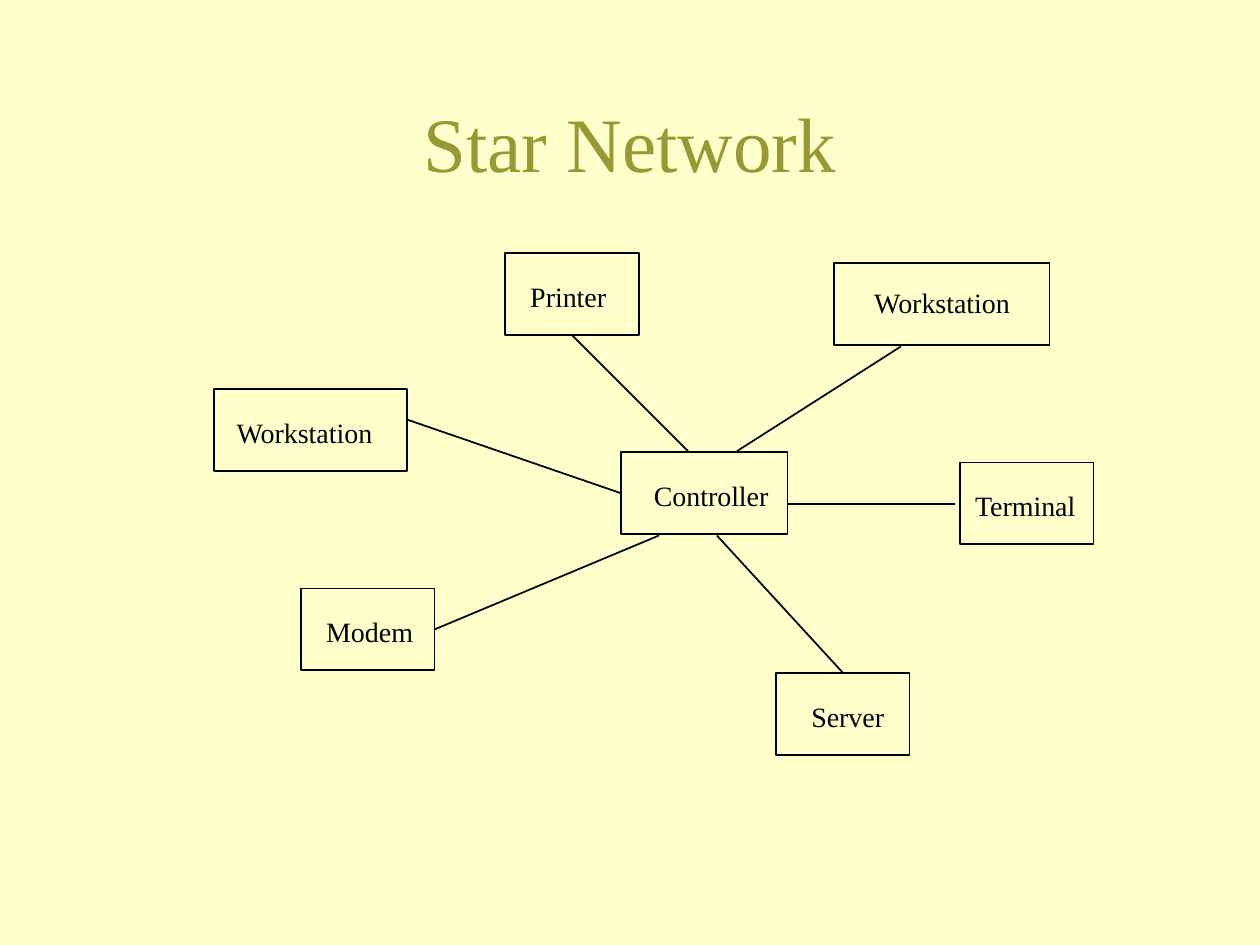
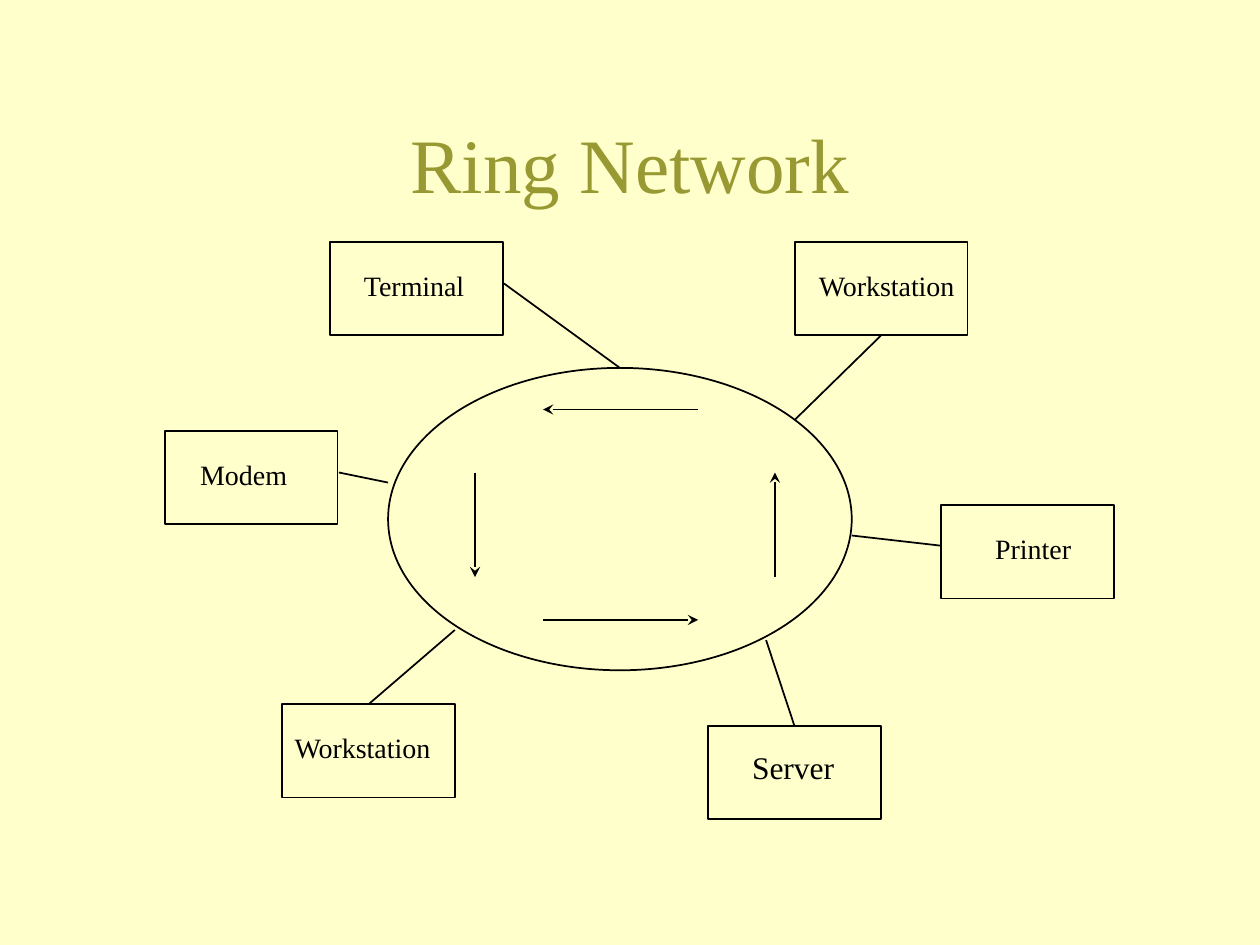
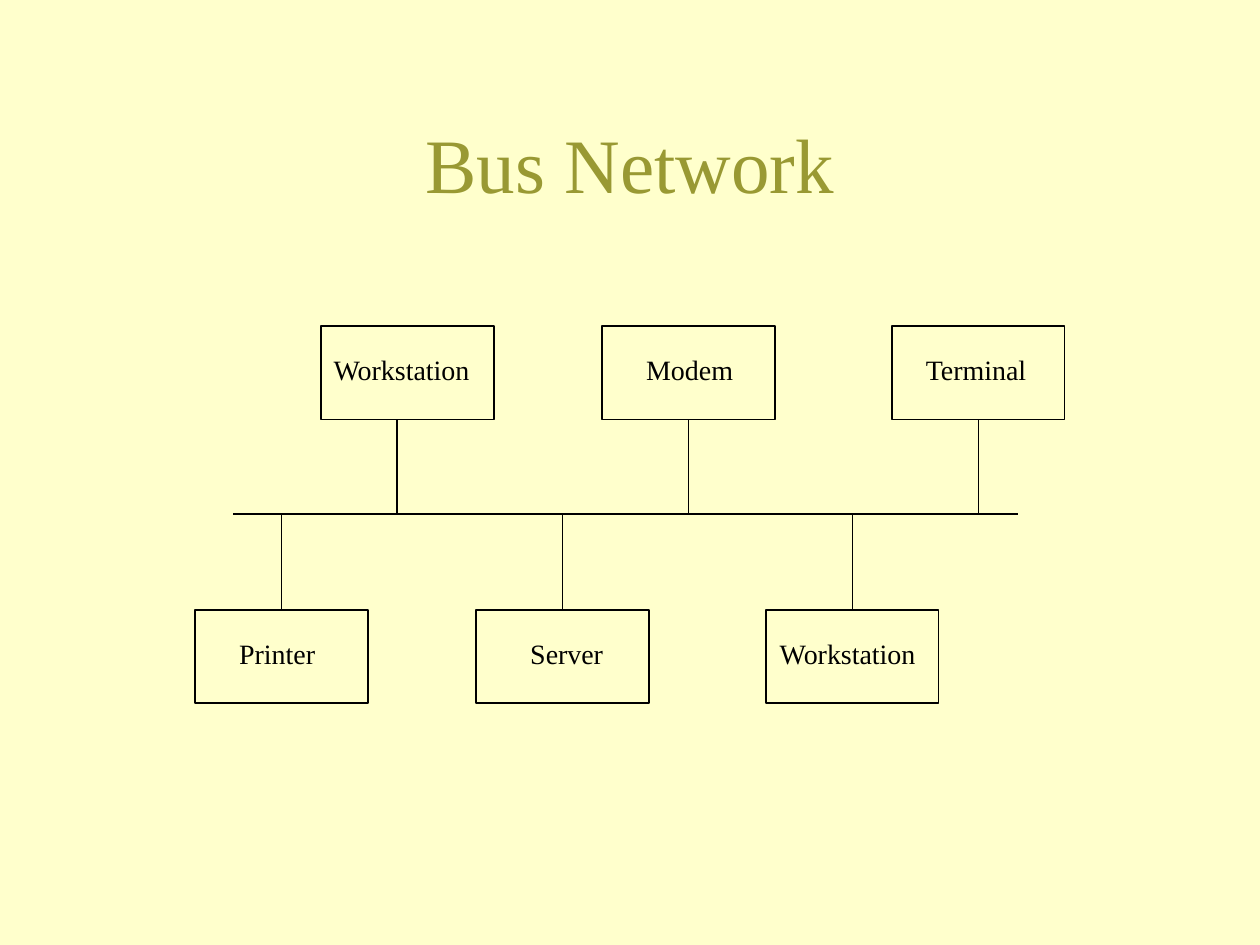
from dataclasses import dataclass
from typing import NamedTuple

from lxml import etree
from pptx import Presentation
from pptx.dml.color import RGBColor
from pptx.enum.shapes import MSO_CONNECTOR, MSO_SHAPE
from pptx.enum.text import MSO_ANCHOR, MSO_AUTO_SIZE, PP_ALIGN
from pptx.oxml.ns import qn
from pptx.util import Inches, Pt

# Shared style
CREAM = RGBColor(0xFF, 0xFF, 0xCC)
OLIVE = RGBColor(0x99, 0x99, 0x33)
BLACK = RGBColor(0x00, 0x00, 0x00)
FONT = "Times New Roman"
TITLE_SIZE, LABEL_SIZE, LINE_WIDTH = Pt(44), 16, Pt(1)

RECT, OVAL = MSO_SHAPE.RECTANGLE, MSO_SHAPE.OVAL
STRAIGHT = MSO_CONNECTOR.STRAIGHT
CENTER, MIDDLE = PP_ALIGN.CENTER, MSO_ANCHOR.MIDDLE
NO_FIT, GROW = MSO_AUTO_SIZE.NONE, MSO_AUTO_SIZE.SHAPE_TO_FIT_TEXT
TOP, LEFT, BOTTOM, RIGHT = range(4)

# Square grid: 100 columns by 75 rows
SLIDE_W, SLIDE_H = Inches(10), Inches(7.5)
COLS, ROWS = 100, 75
TITLE_LEFT, TITLE_W, TITLE_H = 7.5, 85, 12.5
LABEL_H = 3.7
LABEL_W = {"Workstation": 13, "Printer": 8.1, "Terminal": 10.1,
           "Modem": 8.9, "Server": 7.8, "Controller": 11.1}
BOX_W, BOX_H = 13.7, 7.4        # devices on the ring and the bus
STAR_W, STAR_H = 10.6, 6.5      # devices on the star


class Spot(NamedTuple):
    col: float
    row: float


@dataclass(frozen=True)
class Device:
    label: str
    left: float
    top: float
    label_dx: float
    label_dy: float = 1.6
    width: float = BOX_W
    height: float = BOX_H
    size: int = LABEL_SIZE

    def site(self, side: int) -> Spot:
        """Middle of one side of the box."""
        dx, dy = ((0.5, 0), (0, 0.5), (0.5, 1), (1, 0.5))[side]
        return Spot(self.left + dx * self.width, self.top + dy * self.height)


class Join(NamedTuple):
    device: Device
    side: int


class Link(NamedTuple):
    start: Spot | Join
    end: Spot | Join


def x(cols: float) -> int:
    return round(SLIDE_W * cols / COLS)


def y(rows: float) -> int:
    return round(SLIDE_H * rows / ROWS)


def style_text(tf, size, color: RGBColor) -> None:
    font = tf.paragraphs[0].runs[0].font
    font.name, font.size, font.color.rgb = FONT, size, color


def add_titled_slide(prs, title: str, top: float):
    s = prs.slides.add_slide(prs.slide_layouts[5])
    sp = s.shapes.title
    sp.left, sp.top = x(TITLE_LEFT), y(top)
    sp.width, sp.height = x(TITLE_W), y(TITLE_H)
    tf = sp.text_frame
    tf.text = title
    tf.auto_size, tf.vertical_anchor = NO_FIT, MIDDLE
    tf.paragraphs[0].alignment = CENTER
    style_text(tf, TITLE_SIZE, OLIVE)
    return s


def add_outline(s, kind, left: float, top: float, width: float, height: float):
    sp = s.shapes.add_shape(kind, x(left), y(top), x(width), y(height))
    sp.shadow.inherit = False
    sp.fill.solid()
    sp.fill.fore_color.rgb = CREAM
    sp.line.color.rgb, sp.line.width = BLACK, LINE_WIDTH
    return sp


def add_label(s, d: Device) -> None:
    sp = s.shapes.add_textbox(
        x(d.left + d.label_dx), y(d.top + d.label_dy),
        x(LABEL_W[d.label] * d.size / LABEL_SIZE), y(LABEL_H * d.size / LABEL_SIZE))
    tf = sp.text_frame
    tf.text = d.label
    tf.word_wrap, tf.auto_size = False, GROW
    style_text(tf, Pt(d.size), BLACK)


def add_link(s, link: Link, boxes: dict, arrow: bool = False) -> None:
    a, b = (e.device.site(e.side) if isinstance(e, Join) else e for e in link)
    line = s.shapes.add_connector(STRAIGHT, x(a.col), y(a.row), x(b.col), y(b.row))
    line.line.color.rgb, line.line.width = BLACK, LINE_WIDTH
    for end, connect in zip(link, (line.begin_connect, line.end_connect)):
        if isinstance(end, Join):
            connect(boxes[end.device], end.side)
    if arrow:
        etree.SubElement(line.line._get_or_add_ln(), qn("a:tailEnd"), type="stealth")
    etree.SubElement(line._element.spPr, qn("a:effectLst"))


def add_network(s, devices: list[Device], links: list[Link]) -> None:
    boxes = {d: add_outline(s, RECT, d.left, d.top, d.width, d.height)
             for d in devices}
    for link in links:
        add_link(s, link, boxes)
    for d in devices:
        add_label(s, d)


def build_star(prs) -> None:
    s = add_titled_slide(prs, "Star Network", 5)

    def device(label, left, top, dx, dy=1.6, width=STAR_W) -> Device:
        return Device(label, left, top, dx, dy, width, STAR_H)

    west = device("Workstation", 17, 30.9, 0.8, width=15.3)
    modem = device("Modem", 23.9, 46.7, 1)
    printer = device("Printer", 40.1, 20.1, 1)
    server = device("Server", 61.6, 53.4, 1.8)
    terminal = device("Terminal", 76.2, 36.7, 0.2)
    east = device("Workstation", 66.2, 20.9, 2.2, 1.3, 17.1)
    hub = device("Controller", 49.3, 35.9, 1.6, width=13.2)
    add_network(s, [west, modem, printer, server, terminal, east, hub], [
        Link(Join(printer, BOTTOM), Spot(54.6, 35.8)),
        Link(Spot(71.5, 27.5), Spot(58.5, 35.8)),
        Link(Spot(62.5, 40), Spot(75.8, 40)),
        Link(Spot(32.3, 33.3), Join(hub, LEFT)),
        Link(Join(modem, RIGHT), Spot(52.3, 42.5)),
        Link(Join(server, TOP), Spot(56.9, 42.5)),
    ])


def build_ring(prs) -> None:
    s = add_titled_slide(prs, "Ring Network", 6.7)
    add_outline(s, OVAL, 30.8, 29.2, 36.8, 24)
    terminal = Device("Terminal", 26.2, 19.2, 1.7)
    west = Device("Workstation", 22.4, 55.9, 0)
    server = Device("Server", 56.2, 57.6, 2.5, 1.3, size=18)
    printer = Device("Printer", 74.7, 40.1, 3.3)
    east = Device("Workstation", 63.1, 19.2, 0.9)
    modem = Device("Modem", 13.1, 34.2, 1.8)
    add_network(s, [terminal, west, server, printer, east, modem], [
        Link(Join(east, BOTTOM), Spot(63.1, 33.3)),
        Link(Spot(74.6, 43.3), Spot(67.6, 42.5)),
        Link(Spot(26.9, 37.5), Spot(30.8, 38.3)),
        Link(Join(west, TOP), Spot(36.1, 50)),
        Link(Spot(60.8, 50.8), Join(server, TOP)),
        Link(Spot(40, 22.5), Spot(49.2, 29.2)),
    ])
    # Direction of travel, counter-clockwise
    for flow in (Link(Spot(55.4, 32.5), Spot(43.1, 32.5)),
                 Link(Spot(37.7, 37.5), Spot(37.7, 45.8)),
                 Link(Spot(43.1, 49.2), Spot(55.4, 49.2)),
                 Link(Spot(61.5, 45.8), Spot(61.5, 37.5))):
        add_link(s, flow, {}, arrow=True)


def build_bus(prs) -> None:
    s = add_titled_slide(prs, "Bus Network", 6.7)
    bus_row, upper_top, lower_top, upper_shift = 40.8, 25.9, 48.4, 10
    lefts = (15.5, 37.8, 60.8)
    upper = [Device(label, left + upper_shift, upper_top, dx) for left, label, dx in
             zip(lefts, ("Workstation", "Modem", "Terminal"), (0, 2.5, 1.7))]
    lower = [Device(label, left, lower_top, dx) for left, label, dx in
             zip(lefts, ("Printer", "Server", "Workstation"), (2.5, 3.3, 0.1))]
    links = [Link(Spot(18.5, bus_row), Spot(80.8, bus_row)),
             Link(Spot(31.5, 33.3), Spot(31.5, bus_row))]
    for d, side in [(d, BOTTOM) for d in upper[1:]] + [(d, TOP) for d in lower]:
        links.append(Link(Join(d, side), Spot(d.site(side).col, bus_row)))
    add_network(s, upper + lower, links)


def main() -> None:
    prs = Presentation()
    prs.slide_width, prs.slide_height = SLIDE_W, SLIDE_H
    fill = prs.slide_master.background.fill
    fill.solid()
    fill.fore_color.rgb = CREAM
    build_star(prs)
    build_ring(prs)
    build_bus(prs)
    prs.save("out.pptx")


if __name__ == "__main__":
    main()
